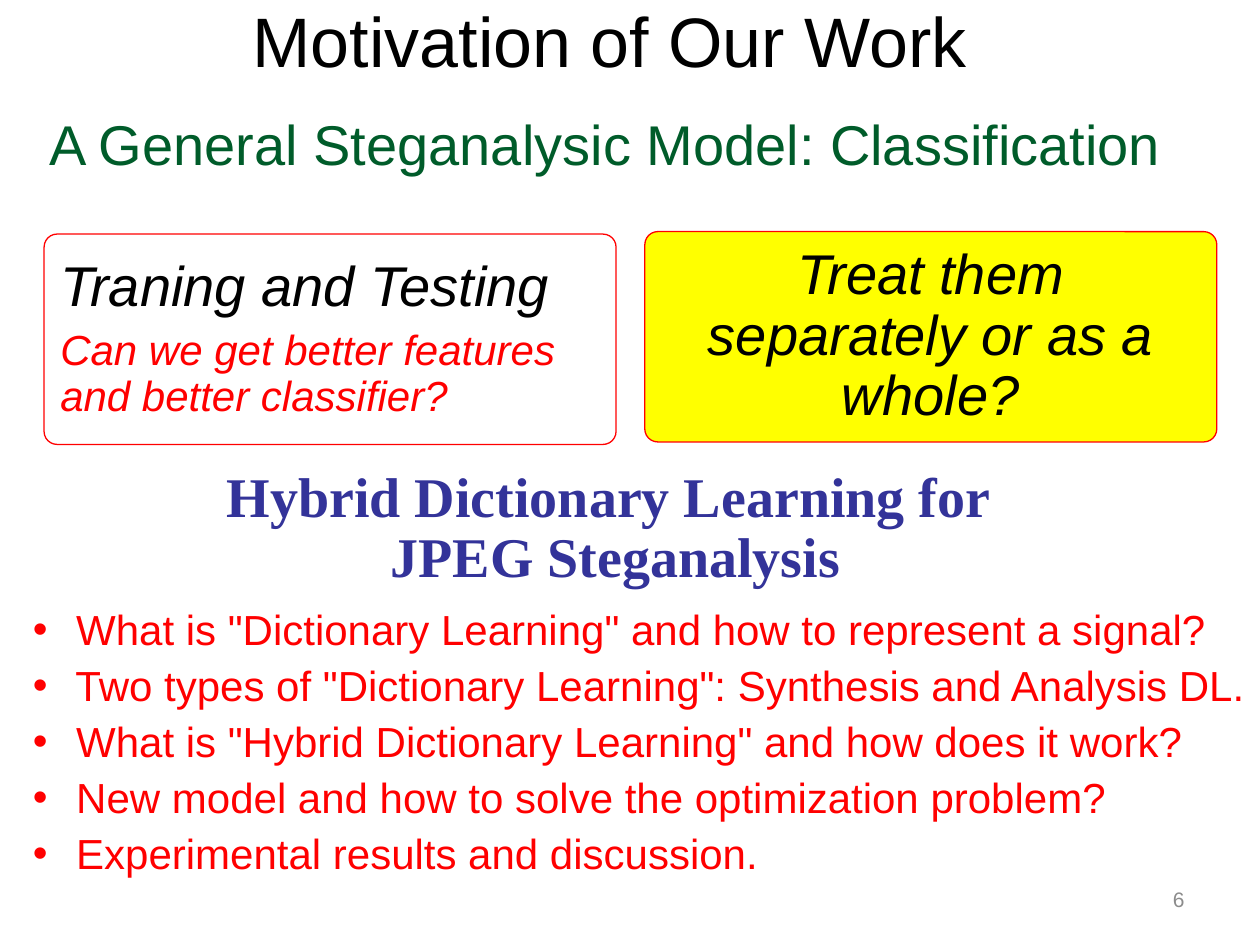
"""Build the "Motivation of Our Work" slide."""
from dataclasses import dataclass

from lxml import etree
from pptx import Presentation
from pptx.dml.color import RGBColor
from pptx.enum.shapes import MSO_SHAPE
from pptx.enum.text import MSO_ANCHOR, PP_ALIGN
from pptx.oxml.ns import qn
from pptx.util import Cm, Pt

ROUNDED = MSO_SHAPE.ROUNDED_RECTANGLE
TOP, MIDDLE = MSO_ANCHOR.TOP, MSO_ANCHOR.MIDDLE
LEFT, CENTER, RIGHT = PP_ALIGN.LEFT, PP_ALIGN.CENTER, PP_ALIGN.RIGHT

BLACK = RGBColor(0x00, 0x00, 0x00)
RED = RGBColor(0xFF, 0x00, 0x00)
YELLOW = RGBColor(0xFF, 0xFF, 0x00)
GREEN = RGBColor(0x00, 0x5C, 0x2A)
NAVY = RGBColor(0x33, 0x33, 0x99)
GRAY = RGBColor(0x8C, 0x8C, 0x8C)


@dataclass(frozen=True)
class Line:
    text: str
    size: int
    color: RGBColor = BLACK
    align: PP_ALIGN = LEFT
    font: str = "Arial"
    bold: bool = False
    italic: bool = False
    before: int = 0
    bullet: bool = False


@dataclass(frozen=True)
class Block:
    left: float
    top: float
    width: float
    height: float
    lines: tuple[Line, ...]
    anchor: MSO_ANCHOR = MIDDLE
    wrap: bool = True
    rounded: bool = False
    fill: RGBColor | None = None
    border: RGBColor | None = None
    margin_top: float = 0.13


QUESTIONS = (
    'What is "Dictionary Learning" and how to represent a signal?',
    'Two types of "Dictionary Learning": Synthesis and Analysis DL.',
    'What is "Hybrid Dictionary Learning" and how does it work?',
    "New model and how to solve the optimization problem?",
    "Experimental results and discussion.",
)

BLOCKS = (
    Block(0.86, -0.69, 22.86, 3.18,
          (Line("Motivation of Our Work", 40, align=CENTER),)),
    Block(0.74, 2.06, 24.16, 1.8,
          (Line("A General Steganalysic Model: Classification", 32, GREEN),),
          wrap=False),
    Block(18.21, 17.65, 5.92, 1.02, (Line("6", 12, GRAY, RIGHT),)),
    Block(0.89, 4.72, 11.53, 4.24,
          (Line("Traning and Testing", 32, italic=True, before=8),
           Line("Can we get better features and better classifier?", 24, RED,
                italic=True, before=6)),
          rounded=True, border=RED),
    Block(13.0, 4.67, 11.53, 4.24,
          (Line("Treat them separately or as a whole?", 32, align=CENTER,
                italic=True, before=8),),
          rounded=True, fill=YELLOW, border=RED),
    Block(0.3, 11.94, 24, 6.27,
          tuple(Line(f" {q}", 24, RED, before=6, bullet=True) for q in QUESTIONS),
          anchor=TOP, wrap=False, rounded=True, margin_top=0.23),
    Block(1.5, 9.32, 21.82, 2.74,
          tuple(Line(t, 32, NAVY, CENTER, "Times New Roman", bold=True)
                for t in ("Hybrid Dictionary Learning for ", "JPEG Steganalysis")),
          anchor=TOP),
)


def add_bullet(p) -> None:
    """Give a paragraph a hanging round bullet."""
    pPr = p._p.get_or_add_pPr()
    pPr.set("marL", str(Cm(0.64)))
    pPr.set("indent", str(-Cm(0.64)))
    font = etree.SubElement(pPr, qn("a:buFont"))
    font.set("typeface", "Arial")
    etree.SubElement(pPr, qn("a:buChar")).set("char", "•")


def add_line(p, line: Line) -> None:
    """Write one formatted paragraph."""
    p.alignment = line.align
    p.line_spacing = 0.9
    p.space_before = Pt(line.before)
    if line.bullet:
        add_bullet(p)
    r = p.add_run()
    r.text = line.text
    r.font.name = line.font
    r.font.size = Pt(line.size)
    r.font.color.rgb = line.color
    r.font.bold = line.bold
    r.font.italic = line.italic


def add_block(s, block: Block) -> None:
    """Draw a text box or rounded box with its lines."""
    box = [Cm(v) for v in (block.left, block.top, block.width, block.height)]
    if block.rounded:
        sp = s.shapes.add_shape(ROUNDED, *box)
        sp.adjustments[0] = 0.062
        sp.shadow.inherit = False
    else:
        sp = s.shapes.add_textbox(*box)
    if block.fill is None:
        sp.fill.background()
    else:
        sp.fill.solid()
        sp.fill.fore_color.rgb = block.fill
    if block.border is None:
        sp.line.fill.background()
    else:
        sp.line.color.rgb = block.border
        sp.line.width = Pt(0.75)
    tf = sp.text_frame
    tf.word_wrap = block.wrap
    tf.vertical_anchor = block.anchor
    tf.margin_top = Cm(block.margin_top)
    for i, line in enumerate(block.lines):
        add_line(tf.add_paragraph() if i else tf.paragraphs[0], line)


def main() -> None:
    """Create and save the presentation."""
    prs = Presentation()
    prs.slide_width, prs.slide_height = Cm(25.4), Cm(19.05)
    s = prs.slides.add_slide(prs.slide_layouts[6])
    for block in BLOCKS:
        add_block(s, block)
    prs.save("out.pptx")


if __name__ == "__main__":
    main()
